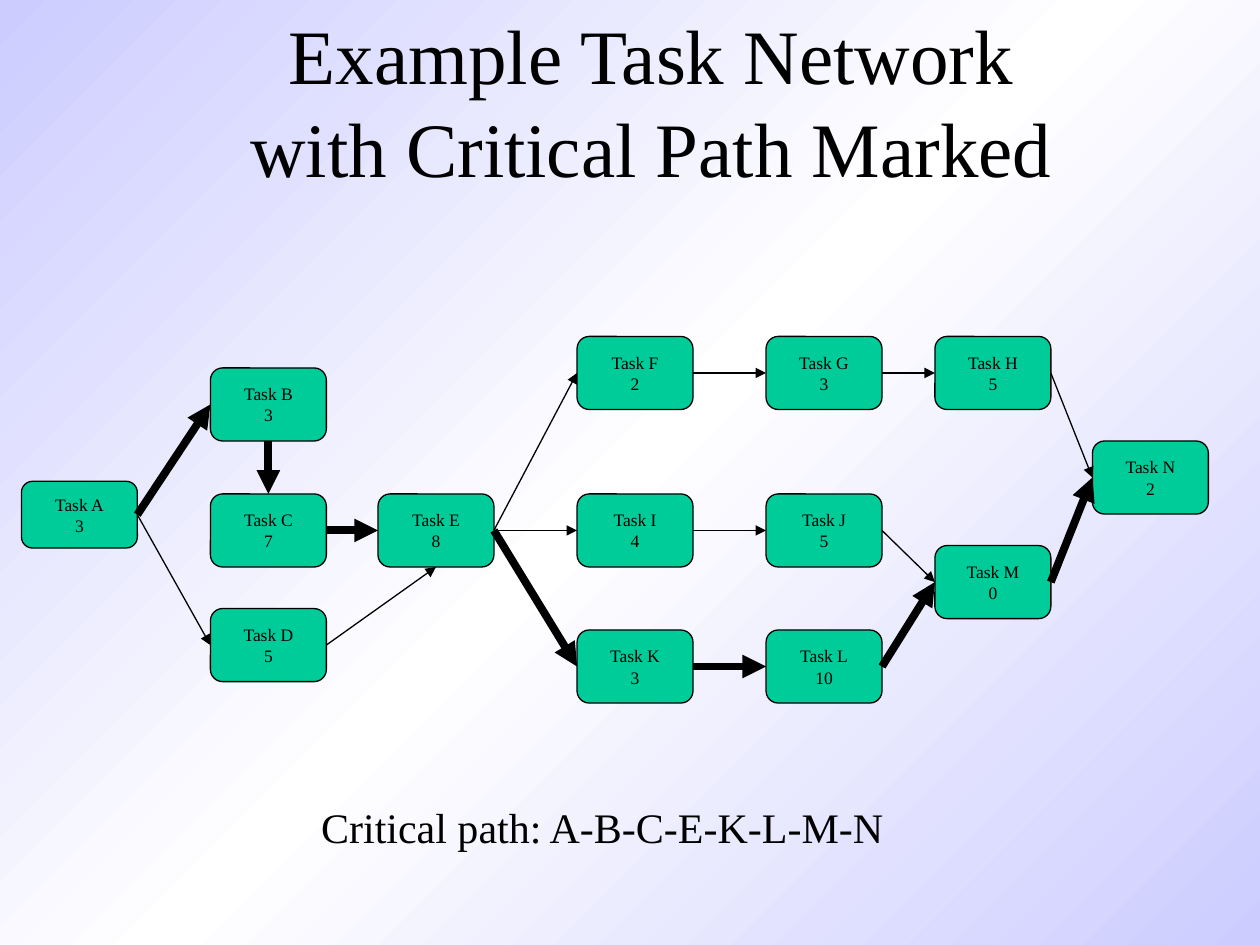
import copy
from dataclasses import dataclass

import pptx
from pptx.dml.color import RGBColor
from pptx.enum.shapes import MSO_CONNECTOR, MSO_SHAPE
from pptx.enum.text import MSO_ANCHOR, MSO_AUTO_SIZE, PP_ALIGN
from pptx.oxml.ns import qn
from pptx.util import Inches, Pt


@dataclass(frozen=True)
class Theme:
    font: str = "Times New Roman"
    ink: RGBColor = RGBColor(0x00, 0x00, 0x00)
    task_fill: RGBColor = RGBColor(0x00, 0xCC, 0x99)
    edge: RGBColor = RGBColor(0xCC, 0xCC, 0xFF)
    centre: RGBColor = RGBColor(0xFF, 0xFF, 0xFF)
    title_size: float = 44
    caption_size: float = 24
    task_size: float = 10
    thin: float = 0.75
    thick: float = 4.5


THEME = Theme()
TOP, LEFT, BOTTOM, RIGHT = range(4)
TASK_WIDTH, TASK_HEIGHT = 0.92, 0.58
FIRST_TASK_HEIGHT = 0.53
COLUMNS = [0.17, 1.67, 3, 4.58, 6.08, 7.42, 8.67]
CRITICAL_PATH = "ABCEKLMN"

# task: (duration, column, top)
TASKS = {
    "A": (3, 0, 3.82),
    "B": (3, 1, 2.92), "C": (7, 1, 3.92), "D": (5, 1, 4.83),
    "E": (8, 2, 3.92),
    "F": (2, 3, 2.67), "G": (3, 4, 2.67), "H": (5, 5, 2.67),
    "I": (4, 3, 3.92), "J": (5, 4, 3.92),
    "K": (3, 3, 5), "L": (10, 4, 5),
    "M": (0, 5, 4.33),
    "N": (2, 6, 3.5),
}
DEPENDENCIES = ["AB", "AD", "BC", "CE", "DE", "EF", "EI", "EK", "FG", "GH",
                "IJ", "KL", "JM", "LM", "HN", "MN"]
SPECIAL_SIDES = {"BC": (BOTTOM, TOP), "DE": (RIGHT, BOTTOM)}


def paint_background(slide):
    """Diagonal gradient, light in the middle."""
    fill = slide.background.fill
    fill.gradient()
    fill.gradient_angle = 135
    stops = slide.element.find(".//" + qn("a:gsLst"))
    stops.insert(1, copy.deepcopy(stops[0]))
    colors = (THEME.edge, THEME.centre, THEME.edge)
    for stop, position, color in zip(fill.gradient_stops, (0, 0.5, 1), colors):
        stop.position = position
        stop.color.rgb = color


def write(frame, text, size, wrap=False, anchor=MSO_ANCHOR.MIDDLE):
    frame.text = text
    frame.word_wrap = wrap
    frame.vertical_anchor = anchor
    for paragraph in frame.paragraphs:
        paragraph.alignment = PP_ALIGN.CENTER
        paragraph.font.name = THEME.font
        paragraph.font.size = Pt(size)
        paragraph.font.color.rgb = THEME.ink


def add_title(slide, text):
    title = slide.shapes.title
    title.left, title.top = Inches(0.92), Inches(0.01)
    title.width, title.height = Inches(8.5), Inches(1.57)
    write(title.text_frame, text, THEME.title_size, wrap=True)
    title.text_frame.auto_size = MSO_AUTO_SIZE.NONE


def add_task(slide, name, duration, column, top):
    height = FIRST_TASK_HEIGHT if name == "A" else TASK_HEIGHT
    task = slide.shapes.add_shape(
        MSO_SHAPE.ROUNDED_RECTANGLE, Inches(COLUMNS[column]), Inches(top),
        Inches(TASK_WIDTH), Inches(height))
    task.shadow.inherit = False
    task.fill.solid()
    task.fill.fore_color.rgb = THEME.task_fill
    task.line.color.rgb = THEME.ink
    task.line.width = Pt(THEME.thin)
    write(task.text_frame, f"Task {name}\n{duration}", THEME.task_size)
    return task


def add_arrow(slide, start, end, sides, width):
    arrow = slide.shapes.add_connector(MSO_CONNECTOR.STRAIGHT, 0, 0, 0, 0)
    arrow.begin_connect(start, sides[0])
    arrow.end_connect(end, sides[1])
    arrow.line.color.rgb = THEME.ink
    arrow.line.width = Pt(width)
    outline = arrow.line._get_or_add_ln()
    outline.append(outline.makeelement(qn("a:tailEnd"), {"type": "triangle"}))
    properties = arrow.element.spPr
    properties.append(properties.makeelement(qn("a:effectLst"), {}))


def add_caption(slide, text):
    caption = slide.shapes.add_textbox(
        Inches(2.44), Inches(6.31), Inches(4.68), Inches(0.5))
    write(caption.text_frame, text, THEME.caption_size, anchor=MSO_ANCHOR.TOP)


def main():
    deck = pptx.Presentation()
    deck.slide_width, deck.slide_height = Inches(10), Inches(7.5)
    slide = deck.slides.add_slide(deck.slide_layouts[5])
    paint_background(slide)
    add_title(slide, "Example Task Network\vwith Critical Path Marked")

    tasks = {name: add_task(slide, name, *details)
             for name, details in TASKS.items()}
    for link in DEPENDENCIES:
        start, end = link
        sides = SPECIAL_SIDES.get(link, (RIGHT, LEFT))
        width = THEME.thick if link in CRITICAL_PATH else THEME.thin
        add_arrow(slide, tasks[start], tasks[end], sides, width)

    add_caption(slide, "Critical path: " + "-".join(CRITICAL_PATH))
    deck.save("out.pptx")


if __name__ == "__main__":
    main()
